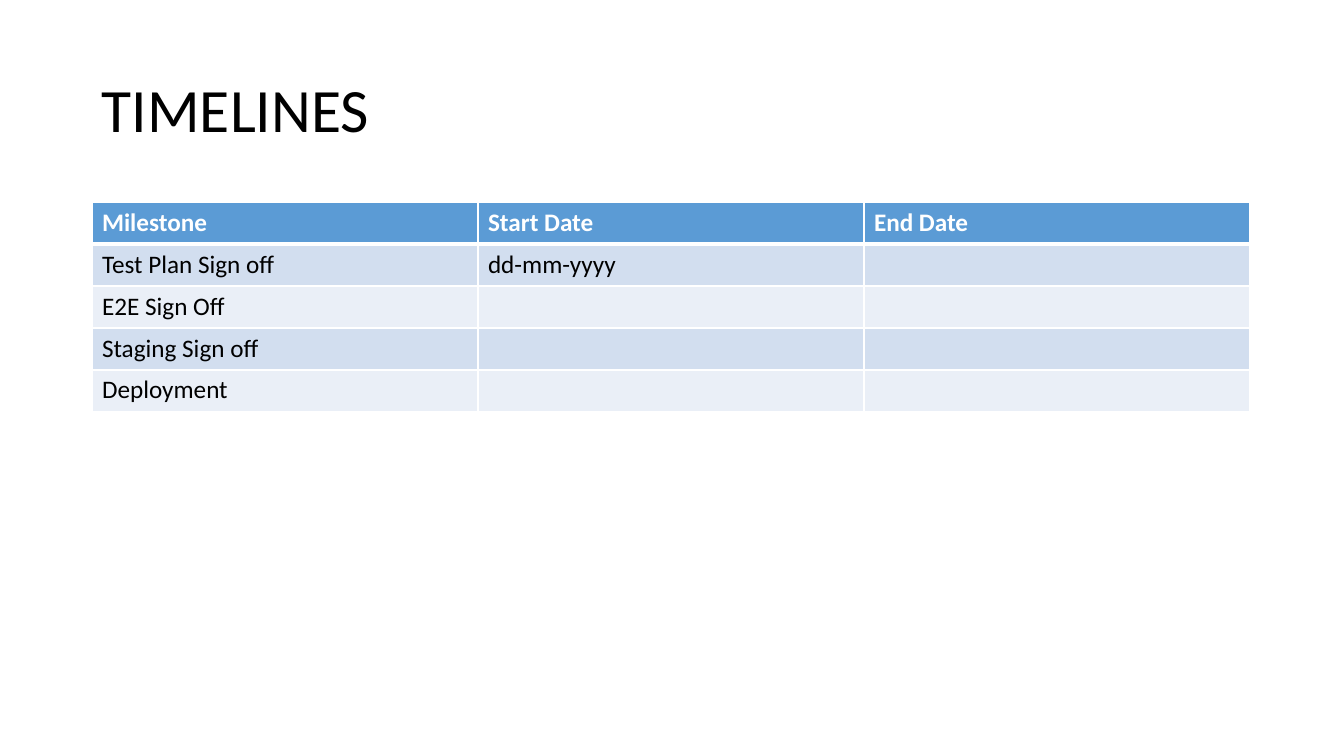
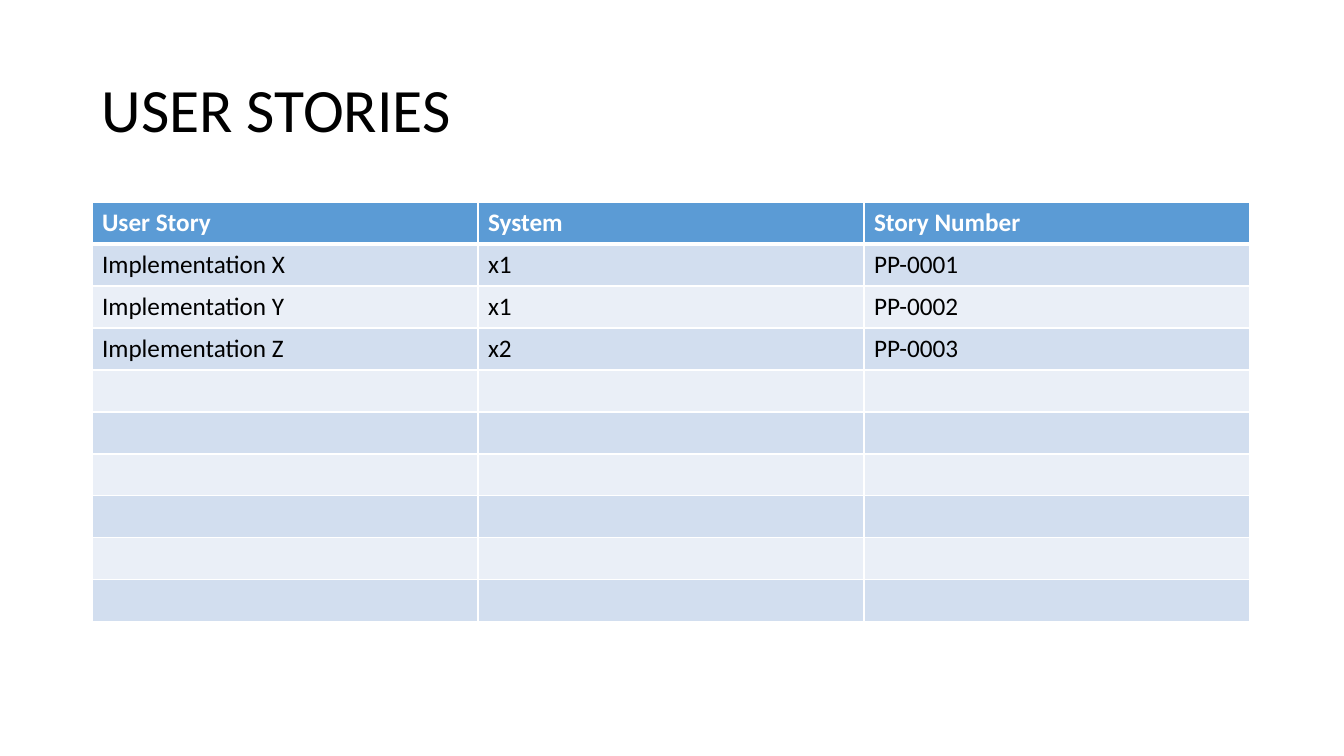
import dataclasses

import lxml.etree
import pptx
import pptx.dml.color
import pptx.enum.text
import pptx.oxml.ns
import pptx.presentation
import pptx.slide
import pptx.table
import pptx.text.text
import pptx.util

EMU_PER_PIXEL = 914400 / 100.8
SLIDE_WIDTH, SLIDE_HEIGHT = 1344, 756
LEFT = 92
TITLE_TOP, TITLE_HEIGHT = 40, 146
TABLE_TOP, COLUMN_WIDTH, ROW_HEIGHT = 202, 386, 42


@dataclasses.dataclass(frozen=True)
class Theme:
    """Colours, font, type sizes and border widths of all slides."""

    font: str = "Calibri"
    title_size: int = 44
    table_size: int = 18
    text: str = "000000"
    header_text: str = "FFFFFF"
    header_fill: str = "5B9BD5"
    bands: tuple[str, str] = ("D2DEEF", "EAEFF7")
    border: str = "FFFFFF"
    border_width: int = 1
    header_rule_width: int = 3


@dataclasses.dataclass(frozen=True)
class TableSlide:
    """A title and a table; body rows may be shorter than the header."""

    title: str
    header: tuple[str, ...]
    body: tuple[tuple[str, ...], ...]
    empty_rows: int = 0


THEME = Theme()

TABLE_SLIDES = (
    TableSlide(
        title="TIMELINES",
        header=("Milestone", "Start Date", "End Date"),
        body=(
            ("Test Plan Sign off", "dd-mm-yyyy"),
            ("E2E Sign Off",),
            ("Staging Sign off",),
            ("Deployment",),
        ),
    ),
    TableSlide(
        title="USER STORIES",
        header=("User Story", "System", "Story Number"),
        body=(
            ("Implementation X", "x1", "PP-0001"),
            ("Implementation Y", "x1", "PP-0002"),
            ("Implementation Z", "x2", "PP-0003"),
        ),
        empty_rows=6,
    ),
)


def pixels(length: int) -> pptx.util.Emu:
    """Convert whole pixels to EMU."""
    return pptx.util.Emu(round(length * EMU_PER_PIXEL))


def rgb(value: str) -> pptx.dml.color.RGBColor:
    """Convert a hex string to a colour."""
    return pptx.dml.color.RGBColor.from_string(value)


def style_font(font: pptx.text.text.Font, size: int, colour: str, bold: bool = False) -> None:
    """Set the typeface, size, colour and weight of a font."""
    font.name = THEME.font
    font.size = pptx.util.Pt(size)
    font.bold = bold
    font.color.rgb = rgb(colour)


def add_title(slide: pptx.slide.Slide, text: str) -> None:
    """Add the slide title, centred vertically in its band."""
    shape = slide.shapes.add_textbox(
        pixels(LEFT), pixels(TITLE_TOP), pixels(3 * COLUMN_WIDTH), pixels(TITLE_HEIGHT)
    )
    frame = shape.text_frame
    frame.word_wrap = True
    frame.vertical_anchor = pptx.enum.text.MSO_ANCHOR.MIDDLE
    frame.text = text
    paragraph = frame.paragraphs[0]
    paragraph.line_spacing = 0.9
    style_font(paragraph.runs[0].font, THEME.title_size, THEME.text)


def set_borders(cell: pptx.table._Cell, top: int, bottom: int) -> None:
    """Draw the four cell borders; call before filling, as XML order matters."""
    properties = cell._tc.get_or_add_tcPr()
    side = THEME.border_width
    for tag, width in (("a:lnL", side), ("a:lnR", side), ("a:lnT", top), ("a:lnB", bottom)):
        line = lxml.etree.SubElement(
            properties, pptx.oxml.ns.qn(tag), w=str(pptx.util.Pt(width))
        )
        fill = lxml.etree.SubElement(line, pptx.oxml.ns.qn("a:solidFill"))
        lxml.etree.SubElement(fill, pptx.oxml.ns.qn("a:srgbClr"), val=THEME.border)


def style_cell(cell: pptx.table._Cell, text: str, row: int) -> None:
    """Write one cell with the style that belongs to its row."""
    is_header = row == 0
    set_borders(
        cell,
        top=THEME.header_rule_width if row == 1 else THEME.border_width,
        bottom=THEME.header_rule_width if is_header else THEME.border_width,
    )
    cell.fill.solid()
    cell.fill.fore_color.rgb = rgb(
        THEME.header_fill if is_header else THEME.bands[(row - 1) % 2]
    )
    colour = THEME.header_text if is_header else THEME.text
    paragraph = cell.text_frame.paragraphs[0]
    if text:
        paragraph.text = text
        style_font(paragraph.runs[0].font, THEME.table_size, colour, is_header)


def add_table(slide: pptx.slide.Slide, content: TableSlide) -> None:
    """Add the banded table with equal columns and rows."""
    rows = (content.header, *content.body, *[()] * content.empty_rows)
    column_count = len(content.header)
    table = slide.shapes.add_table(
        len(rows), column_count, pixels(LEFT), pixels(TABLE_TOP),
        pixels(column_count * COLUMN_WIDTH), pixels(len(rows) * ROW_HEIGHT),
    ).table
    for column in table.columns:
        column.width = pixels(COLUMN_WIDTH)
    for row_index, texts in enumerate(rows):
        table.rows[row_index].height = pixels(ROW_HEIGHT)
        for column_index in range(column_count):
            text = texts[column_index] if column_index < len(texts) else ""
            style_cell(table.cell(row_index, column_index), text, row_index)


def add_table_slide(
    presentation: pptx.presentation.Presentation, content: TableSlide
) -> None:
    """Add one slide with its title and table."""
    slide = presentation.slides.add_slide(presentation.slide_layouts[6])
    add_title(slide, content.title)
    add_table(slide, content)


def main() -> None:
    """Build and save the presentation."""
    presentation = pptx.Presentation()
    presentation.slide_width = pixels(SLIDE_WIDTH)
    presentation.slide_height = pixels(SLIDE_HEIGHT)
    for content in TABLE_SLIDES:
        add_table_slide(presentation, content)
    presentation.save("out.pptx")


main()
